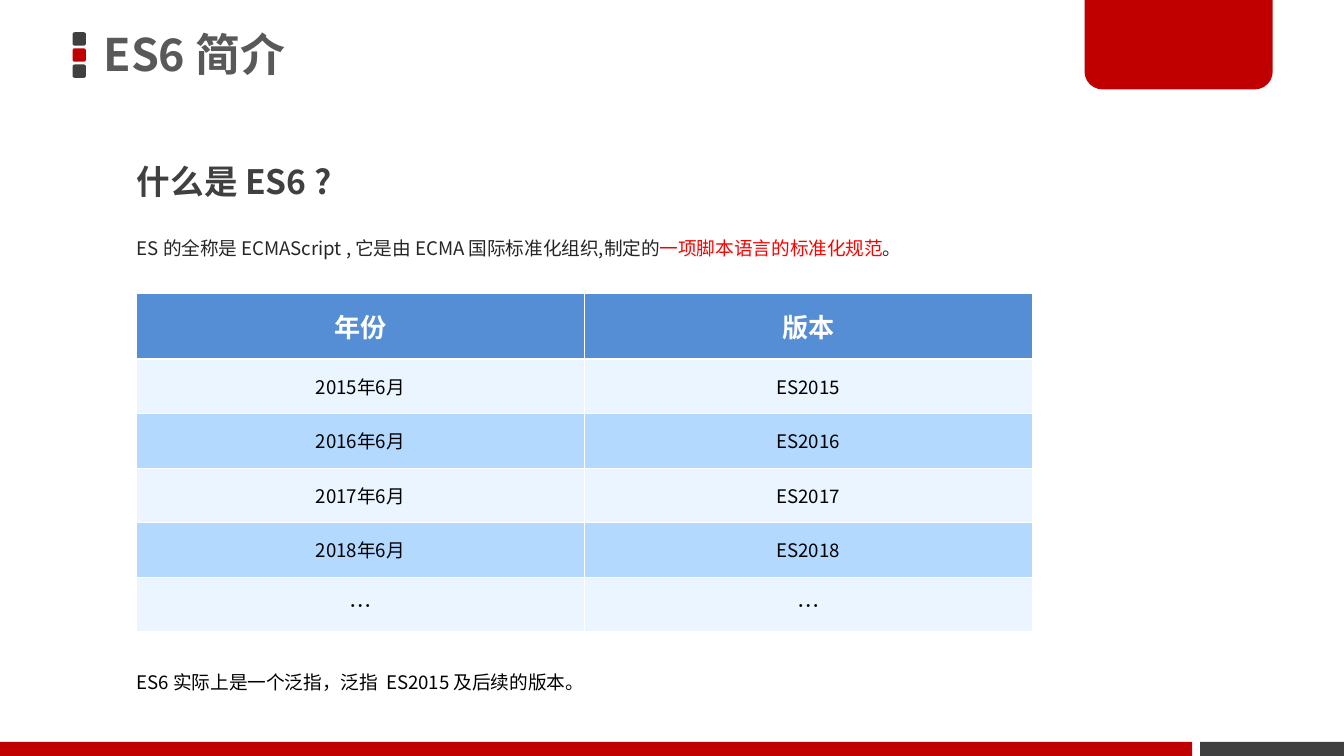
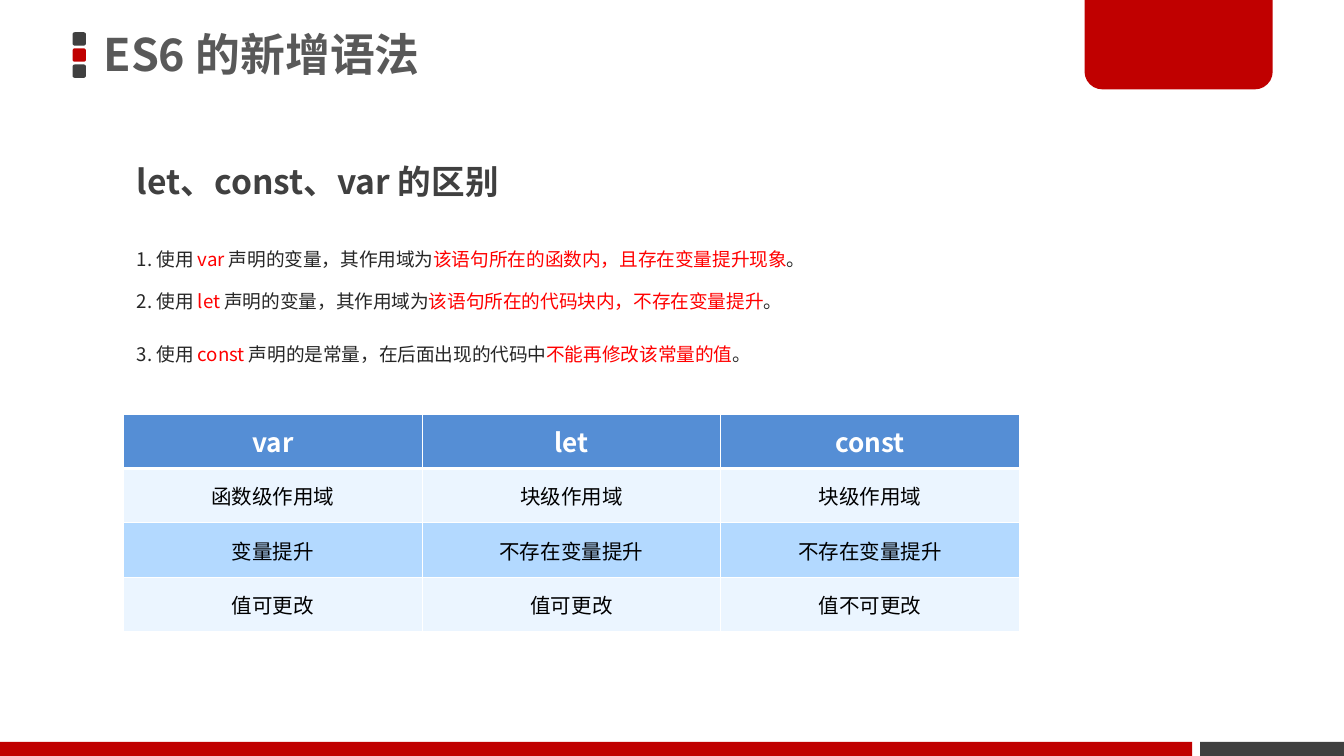
from lxml import etree
from pptx import Presentation
from pptx import util as u
from pptx.dml import color
from pptx.enum import shapes, text
from pptx.oxml import ns

WIDTH, HEIGHT = u.Inches(10), u.Inches(5.625)
COLUMNS, ROWS = 100, 56.25
FONT = "Noto Sans CJK SC"
RED, CHARCOAL, WHITE, BLACK = "C00000", "404040", "FFFFFF", "000000"
TITLE_GREY, BODY_GREY, HIGHLIGHT = "595959", "262626", "FF0000"
HEADER_BLUE, BAND_FILLS = "558ED5", ("EBF5FF", "B3D9FF")
CONTENT_LEFT = 9.2
THIN, THICK = 0.45, 1.47


def rgb(value):
    return color.RGBColor.from_string(value)


def place(column, row, columns, rows):
    across, down = WIDTH / COLUMNS, HEIGHT / ROWS
    return [round(n) for n in (column * across, row * down, columns * across, rows * down)]


class Deck:
    def __init__(self):
        self.presentation = Presentation()
        self.presentation.slide_width = WIDTH
        self.presentation.slide_height = HEIGHT
        self.slide = None

    def new_slide(self, title, heading):
        self.slide = self.presentation.slides.add_slide(self.presentation.slide_layouts[6])
        for step, fill in enumerate((CHARCOAL, RED, CHARCOAL)):
            self.block(shapes.MSO_SHAPE.ROUNDED_RECTANGLE,
                       (5.4, 2.4 + 1.2 * step, 1, 1), fill, (0.167,))
        self.block(shapes.MSO_SHAPE.RECTANGLE, (89.3, 55.2, 10.7, 1.05), CHARCOAL)
        self.block(shapes.MSO_SHAPE.ROUND_2_SAME_RECTANGLE,
                   (80.7, 0, 14, 6.65), RED, (0, 0.2))
        self.block(shapes.MSO_SHAPE.RECTANGLE, (0, 55.2, 88.7, 1.05), RED)
        title_frame = self.words((6.9, -0.2, 58.9, 8.9), [title], 24, TITLE_GREY, True, 0.9)
        title_frame.auto_size = text.MSO_AUTO_SIZE.NONE
        title_frame.vertical_anchor = text.MSO_ANCHOR.MIDDLE
        title_frame.margin_left = title_frame.margin_right = u.Inches(0.08)
        title_frame.margin_top = title_frame.margin_bottom = u.Inches(0.04)
        self.words((CONTENT_LEFT, 10, 62.8, 5.5), [heading], 18, CHARCOAL, True, 1.5)

    def block(self, preset, area, fill, adjustments=()):
        block = self.slide.shapes.add_shape(preset, *place(*area))
        block.shadow.inherit = False
        block.fill.solid()
        block.fill.fore_color.rgb = rgb(fill)
        block.line.fill.background()
        for index, value in enumerate(adjustments):
            block.adjustments[index] = value

    def style(self, run, size, ink, bold=False):
        run.font.size = u.Pt(size)
        run.font.bold = bold
        run.font.color.rgb = rgb(ink)
        run.font.name = FONT
        etree.SubElement(run.font._element, ns.qn("a:ea"), typeface=FONT)

    def words(self, area, parts, size=10, ink=BODY_GREY, bold=False, spacing=None):
        frame = self.slide.shapes.add_textbox(*place(*area)).text_frame
        frame.word_wrap = True
        frame.auto_size = text.MSO_AUTO_SIZE.SHAPE_TO_FIT_TEXT
        paragraph = frame.paragraphs[0]
        paragraph.line_spacing = spacing
        for index, part in enumerate(parts):
            run = paragraph.add_run()
            run.text = part
            self.style(run, size, HIGHLIGHT if index % 2 else ink, bold)
        return frame

    def borders(self, cell, top, bottom):
        properties = cell._tc.get_or_add_tcPr()
        sides = {"L": THIN, "R": THIN, "T": top, "B": bottom}
        for index, (side, width) in enumerate(sides.items()):
            line = etree.Element(ns.qn(f"a:ln{side}"), w=str(u.Pt(width)))
            fill = etree.SubElement(line, ns.qn("a:solidFill"))
            etree.SubElement(fill, ns.qn("a:srgbClr"), val=WHITE)
            properties.insert(index, line)

    def table(self, area, records, size, header_rows):
        column_count = len(records[0])
        table = self.slide.shapes.add_table(len(records), column_count, *place(*area)).table
        table.first_row = table.horz_banding = False
        body_rows = (area[3] - header_rows) / (len(records) - 1)
        for row, record in enumerate(records):
            header = row == 0
            table.rows[row].height = place(0, 0, 0, header_rows if header else body_rows)[3]
            for column, value in enumerate(record):
                cell = table.cell(row, column)
                cell.text = value
                cell.vertical_anchor = text.MSO_ANCHOR.MIDDLE
                cell.fill.solid()
                cell.fill.fore_color.rgb = rgb(HEADER_BLUE if header else BAND_FILLS[(row - 1) % 2])
                paragraph = cell.text_frame.paragraphs[0]
                paragraph.alignment = text.PP_ALIGN.CENTER
                body_size = 12 if value == "…" else size
                self.style(paragraph.runs[0], 14 if header else body_size,
                           WHITE if header else BLACK, header)
                self.borders(cell, THICK if row == 1 else THIN, THICK if header else THIN)


def introduction(deck):
    deck.new_slide("ES6 简介", "什么是 ES6 ?")
    deck.words((CONTENT_LEFT, 16.3, 68.5, 3.5),
               ["ES 的全称是 ECMAScript , 它是由 ECMA 国际标准化组织,制定的",
                "一项脚本语言的标准化规范", "。"], spacing=1.5)
    versions = [("年份", "版本")]
    versions += [(f"{year}年6月", f"ES{year}") for year in range(2015, 2019)]
    versions.append(("…", "…"))
    deck.table((10.15, 21.85, 66.65, 25.15), versions, 10, 4.85)
    deck.words((CONTENT_LEFT, 49.4, 50, 2.7),
               ["ES6 实际上是一个泛指，泛指  ES2015 及后续的版本。"], ink=BLACK)


def new_syntax(deck):
    deck.new_slide("ES6 的新增语法", "let、const、var 的区别")
    deck.table((CONTENT_LEFT, 30.8, 66.65, 16.2), [
        ("var", "let", "const"),
        ("函数级作用域", "块级作用域", "块级作用域"),
        ("变量提升", "不存在变量提升", "不存在变量提升"),
        ("值可更改", "值可更改", "值不可更改"),
    ], 11, 4.05)
    rules = [
        (17.1, 70.7, 1.5, "var ", "声明的变量，其作用域为", "该语句所在的函数内，且存在变量提升现象"),
        (21.1, 69.1, None, "let ", "声明的变量，其作用域为", "该语句所在的代码块内，不存在变量提升"),
        (24.2, 50, 1.5, "const ", "声明的是常量，在后面出现的代码中", "不能再修改该常量的值"),
    ]
    for number, (row, columns, spacing, keyword, usage, effect) in enumerate(rules, 1):
        deck.words((CONTENT_LEFT, row, columns, 3.5 if spacing else 2.7),
                   [f"{number}. 使用 ", keyword, usage, effect, "。"], spacing=spacing)


def main():
    deck = Deck()
    introduction(deck)
    new_syntax(deck)
    deck.presentation.save("out.pptx")


if __name__ == "__main__":
    main()
